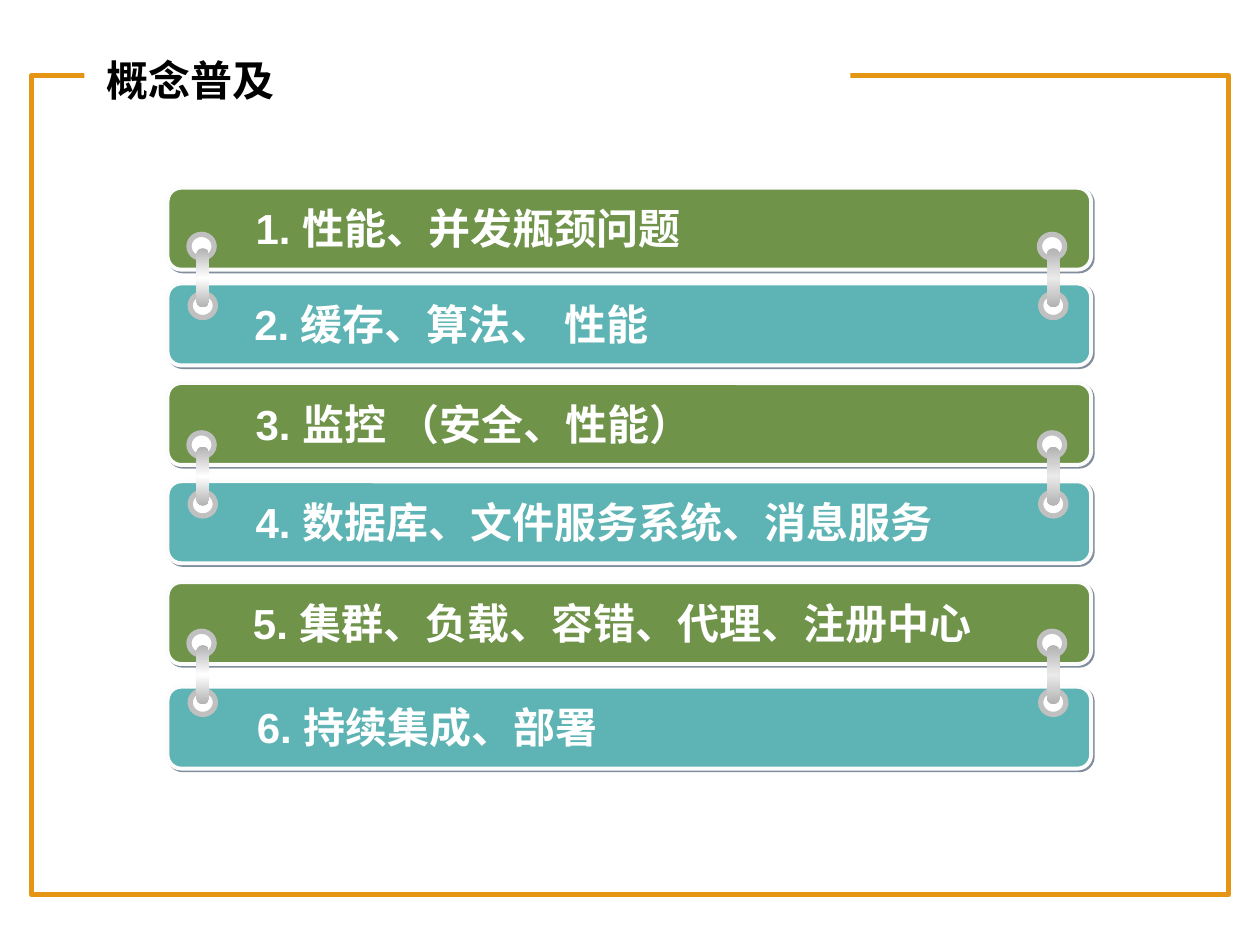
from lxml.etree import SubElement
from pptx import Presentation
from pptx.dml.color import RGBColor
from pptx.enum.shapes import MSO_SHAPE
from pptx.enum.text import MSO_ANCHOR, PP_ALIGN
from pptx.oxml import parse_xml
from pptx.oxml.ns import nsdecls, qn
from pptx.util import Inches, Pt

COLORS = {
    "frame": "E49514", "white": "FFFFFF", "black": "000000",
    "green": "6E9349", "teal": "5EB4B4", "border": "FCFCFC",
    "shadow": "001D3A", "ring": "C0C0C0", "metal": "B2B2B2", "shine": "EAEAEA",
}
TITLE = "概念普及"
TOPICS = [
    ("1. 性能、并发瓶颈问题", 1.49, 1.93, 5.74),
    ("2. 缓存、算法、 性能", 2.25, 1.92, 6.26),
    ("3. 监控 （安全、性能）", 3.04, 1.93, 5.74),
    ("4. 数据库、文件服务系统、消息服务", 3.82, 1.93, 5.82),
    ("5. 集群、负载、容错、代理、注册中心", 4.62, 1.91, 6.13),
    ("6. 持续集成、部署", 5.45, 1.94, 6.24),
]
BAR_LEFT, BAR_WIDTH, BAR_HEIGHT = 1.33, 7.33, 0.65
LABEL_DROP, LABEL_HEIGHT = 0.07, 0.5
CLIP_SIDES = [(8.25, "shine"), (1.5, "white")]
CLIP_TOP, CLIP_PITCH, CLIP_COUNT = 1.86, 1.575, 3
RINGS = [(0, 0), (0.01, 0.47)]


def color(name):
    return RGBColor.from_string(COLORS[name])


def add_part(slide, kind, box, fill=None, line=None, width=0):
    shape = slide.shapes.add_shape(kind, *map(Inches, box))
    shape.shadow.inherit = False
    if fill:
        shape.fill.solid()
        shape.fill.fore_color.rgb = color(fill)
    else:
        shape.fill.background()
    if line:
        shape.line.color.rgb = color(line)
        shape.line.width = Pt(width)
    else:
        shape.line.fill.background()
    return shape


def shadow_xml(name, distance, opacity):
    return (f'<a:effectLst {nsdecls("a")}><a:outerShdw blurRad="0" dist="{Pt(distance)}" '
            f'dir="2700000" algn="ctr" rotWithShape="0"><a:srgbClr val="{COLORS[name]}">'
            f'<a:alpha val="{opacity * 1000}"/></a:srgbClr></a:outerShdw></a:effectLst>')


def add_text(slide, text, box, font_name, font_color, anchor, indent=0):
    shape = slide.shapes.add_textbox(*map(Inches, box))
    frame = shape.text_frame
    for name, value in {"word_wrap": True, "vertical_anchor": anchor}.items():
        setattr(frame, name, value)
    paragraph = frame.paragraphs[0]
    paragraph.alignment = PP_ALIGN.LEFT
    if indent:
        properties = paragraph._p.get_or_add_pPr()
        properties.set("marL", str(Inches(indent)))
        properties.set("indent", str(-Inches(indent)))
    run = paragraph.add_run()
    run.text = text
    for name, value in {"size": Pt(24), "bold": True, "name": font_name}.items():
        setattr(run.font, name, value)
    run.font.color.rgb = color(font_color)
    SubElement(run._r.rPr, qn("a:ea")).set("typeface", font_name)
    return run


def add_bar(slide, top, fill):
    box = BAR_LEFT, top, BAR_WIDTH, BAR_HEIGHT
    bar = add_part(slide, MSO_SHAPE.ROUNDED_RECTANGLE, box, fill, "border", 2.25)
    bar.adjustments[0] = 0.167
    properties = bar._element.spPr
    properties.replace(properties.find(qn("a:effectLst")), parse_xml(shadow_xml("shadow", 1.4, 50)))


def add_clip(slide, left, top, middle):
    for across, down in RINGS:
        box = left + across, top + down, 0.2, 0.19
        add_part(slide, MSO_SHAPE.OVAL, box, "white", "ring", 3)
    box = left + 0.06, top + 0.11, 0.1, 0.47
    rod = add_part(slide, MSO_SHAPE.ROUNDED_RECTANGLE, box)
    rod.adjustments[0] = 0.5
    stops = "".join(
        f'<a:gs pos="{place * 1000}"><a:srgbClr val="{COLORS[name]}"/></a:gs>'
        for place, name in [(0, "metal"), (50, middle), (100, "metal")])
    gradient = parse_xml(f'<a:gradFill {nsdecls("a")} rotWithShape="1"><a:gsLst>{stops}</a:gsLst>'
                         '<a:lin ang="5400000" scaled="1"/></a:gradFill>')
    properties = rod._element.spPr
    properties.replace(properties.find(qn("a:noFill")), gradient)


def main():
    presentation = Presentation()
    for name, value in {"slide_width": Inches(10), "slide_height": Inches(7.5)}.items():
        setattr(presentation, name, value)
    slide = presentation.slides.add_slide(presentation.slide_layouts[6])

    add_part(slide, MSO_SHAPE.RECTANGLE, (0.25, 0.6, 9.5, 6.5), None, "frame", 3)
    add_part(slide, MSO_SHAPE.RECTANGLE, (0.67, 0.17, 6.08, 1.19), "white")
    add_text(slide, TITLE, (0.75, 0.32, 5.08, 0.62), "DejaVu Sans", "black", MSO_ANCHOR.MIDDLE)

    for index, (text, top, left, width) in enumerate(TOPICS):
        add_bar(slide, top, ("green", "teal")[index % 2])
        box = left, top + LABEL_DROP, width, LABEL_HEIGHT
        run = add_text(slide, text, box, "Arial", "white", MSO_ANCHOR.TOP, 0.5)
        run._r.rPr.find(qn("a:solidFill")).addnext(parse_xml(shadow_xml("black", 2, 60)))

    for row in range(CLIP_COUNT):
        for left, middle in CLIP_SIDES:
            add_clip(slide, left, CLIP_TOP + row * CLIP_PITCH, middle)

    presentation.save("out.pptx")


if __name__ == "__main__":
    main()
